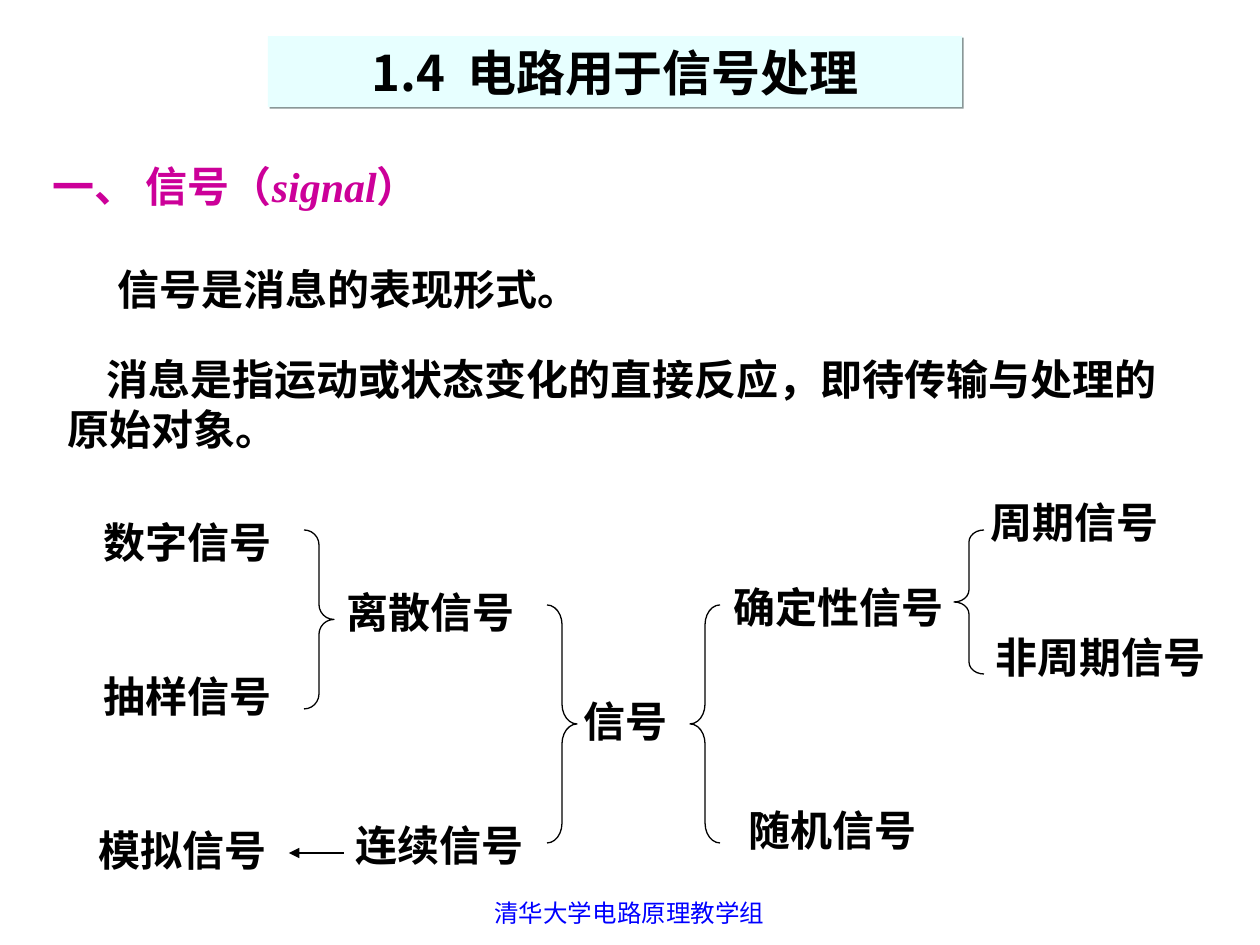
from dataclasses import dataclass

from lxml import etree
from pptx import Presentation, util as u
from pptx.dml.color import RGBColor
from pptx.enum import shapes, text
from pptx.oxml import ns

PX = 914400 / 126


def px(n):
    return u.Emu(round(n * PX))


@dataclass(frozen=True)
class Theme:
    ink: str = "000000"
    accent: str = "CC0099"
    banner: str = "E7FFFF"
    shadow: str = "8A9898"
    footer: str = "0000FF"
    title_size: int = 28
    body_size: int = 24
    footer_size: int = 14
    line: float = 0.75
    serif: str = "Times New Roman"
    cjk: str = "Noto Sans CJK SC"
    sans: str = "Arial"


class Deck:
    """Draws styled elements on the current slide."""

    def __init__(self, theme):
        self.t = theme
        self.prs = Presentation()
        self.prs.slide_width, self.prs.slide_height = px(1260), px(945)
        self.s = None

    def slide(self):
        self.s = self.prs.slides.add_slide(self.prs.slide_layouts[6])

    def fill_text(self, sp, runs, size, color, bold=True, align=None, anchor="MIDDLE", indent=0):
        tf = sp.text_frame
        tf.word_wrap = True
        tf.vertical_anchor = text.MSO_ANCHOR[anchor]
        p = tf.paragraphs[0]
        p.alignment = align or text.PP_ALIGN.LEFT
        if indent:
            p._p.get_or_add_pPr().set("indent", str(px(indent)))
        for words, font, italic in runs:
            r = p.add_run()
            r.text = words
            r.font.name, r.font.size = font, u.Pt(size)
            r.font.bold, r.font.italic = bold, italic
            r.font.color.rgb = RGBColor.from_string(color)

    def banner(self, x, y, w, h, words):
        sp = self.s.shapes.add_shape(shapes.MSO_SHAPE.RECTANGLE, px(x), px(y), px(w), px(h))
        sp.shadow.inherit = False
        sp.fill.solid()
        sp.fill.fore_color.rgb = RGBColor.from_string(self.t.banner)
        sp.line.fill.background()
        effects = sp._element.spPr.find(ns.qn("a:effectLst"))
        shadow = etree.SubElement(effects, ns.qn("a:outerShdw"), dist="17780", dir="2700000")
        etree.SubElement(shadow, ns.qn("a:srgbClr"), val=self.t.shadow)
        self.fill_text(sp, [(words, self.t.cjk, False)], self.t.title_size, self.t.ink,
                       align=text.PP_ALIGN.CENTER)

    def text(self, x, y, w, h, runs, color=None, indent=0):
        sp = self.s.shapes.add_textbox(px(x), px(y), px(w), px(h))
        self.fill_text(sp, runs, self.t.body_size, color or self.t.ink, indent=indent)

    def label(self, x, y, w, words):
        self.text(x, y, w, 63, [(words, self.t.serif, False)])

    def footer(self, x, y, w, h, words):
        sp = self.s.shapes.add_textbox(px(x), px(y), px(w), px(h))
        self.fill_text(sp, [(words, self.t.sans, False)], self.t.footer_size, self.t.footer,
                       bold=False, align=text.PP_ALIGN.CENTER, anchor="TOP")

    def outline(self, sp):
        sp.line.color.rgb = RGBColor.from_string(self.t.ink)
        sp.line.width = u.Pt(self.t.line)

    def brace(self, side, x, y, h, w=30):
        kind = shapes.MSO_SHAPE[f"{side}_BRACE"]
        sp = self.s.shapes.add_shape(kind, px(x), px(y), px(w), px(h))
        sp.adjustments[0] = h / w / 12
        sp.shadow.inherit = False
        sp.fill.background()
        self.outline(sp)

    def arrow(self, x1, y1, x2, y2):
        sp = self.s.shapes.add_connector(shapes.MSO_CONNECTOR.STRAIGHT,
                                         px(x1), px(y1), px(x2), px(y2))
        self.outline(sp)
        etree.SubElement(sp.line._get_or_add_ln(), ns.qn("a:tailEnd"), type="triangle")
        etree.SubElement(sp._element.spPr, ns.qn("a:effectLst"))


def main():
    t = Theme()
    d = Deck(t)
    d.slide()
    d.banner(268, 36, 694, 71, "1.4  电路用于信号处理")
    d.text(40, 154, 693, 63, [("一、 信号", t.serif, False), ("（", t.cjk, False),
                              ("signal", t.serif, True), ("）", t.cjk, False)], t.accent)
    d.text(66, 257, 651, 63, [("信号是消息的表现形式。", t.serif, False)], indent=39)
    d.text(55, 347, 1147, 113,
           [("消息是指运动或状态变化的直接反应，即待传输与处理的原始对象。", t.serif, False)],
           indent=39)
    for x, y, w, words in (
        (571, 689, 115, "信号"),
        (721, 575, 268, "确定性信号"),
        (736, 798, 268, "随机信号"),
        (978, 490, 203, "周期信号"),
        (983, 625, 238, "非周期信号"),
        (334, 580, 198, "离散信号"),
        (343, 813, 198, "连续信号"),
        (91, 510, 198, "数字信号"),
        (91, 664, 198, "抽样信号"),
        (86, 818, 198, "模拟信号"),
    ):
        d.label(x, y, w, words)
    for side, x, y, h in (("LEFT", 690, 605, 238), ("LEFT", 954, 530, 144),
                          ("RIGHT", 547, 605, 238), ("RIGHT", 304, 530, 179)):
        d.brace(side, x, y, h)
    d.arrow(344, 853, 289, 853)
    d.footer(430, 892, 399, 34, "清华大学电路原理教学组")
    d.prs.save("out.pptx")


if __name__ == "__main__":
    main()
